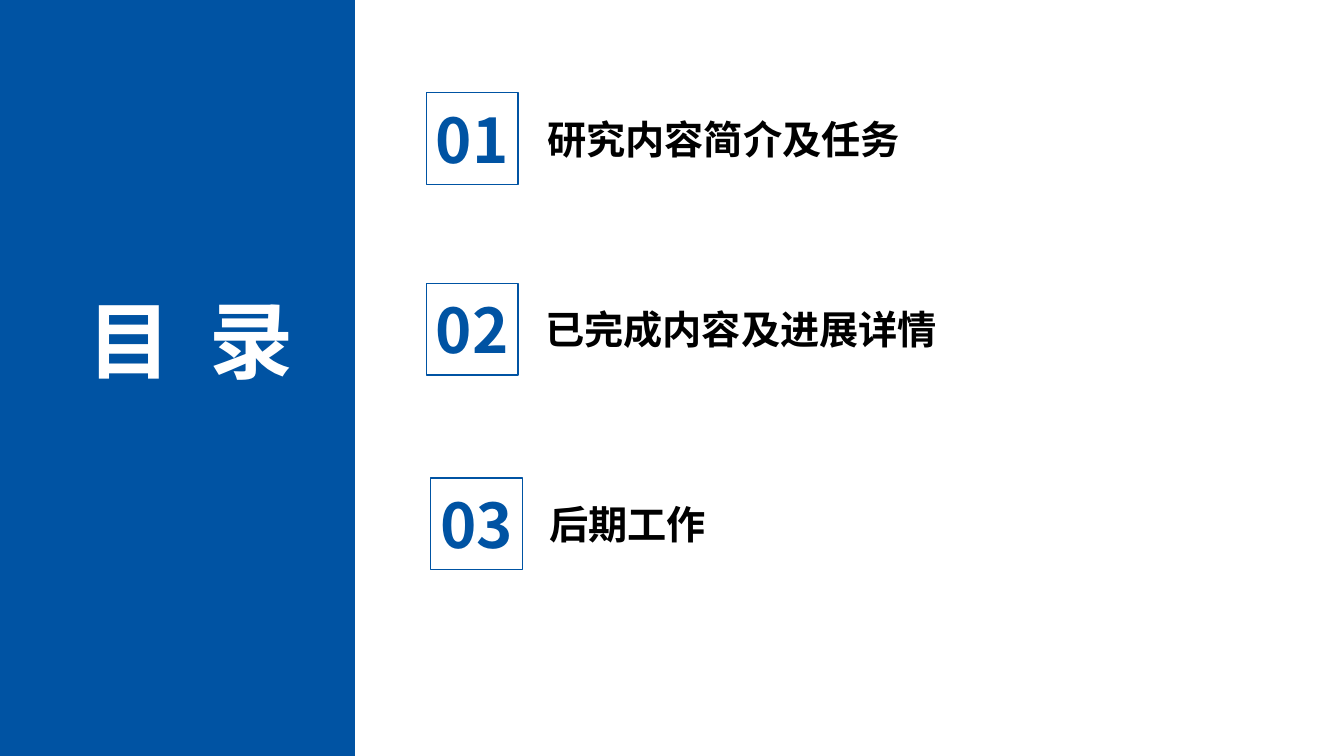
"""Build the contents slide: a blue title panel beside three numbered topics."""
import pptx
import pptx.dml.color
import pptx.enum.shapes
import pptx.enum.text
import pptx.oxml
import pptx.oxml.ns
import pptx.util

Inches = pptx.util.Inches
Align = pptx.enum.text.PP_ALIGN
RECTANGLE = pptx.enum.shapes.MSO_SHAPE.RECTANGLE

TITLE = "目 录"
TOPICS = [
    {"name": "研究内容简介及任务", "corner": (4.23, 0.92), "label_left": 5.33, "width": 4.46},
    {"name": "已完成内容及进展详情", "corner": (4.23, 2.81), "label_left": 5.31, "width": 4.19},
    {"name": "后期工作", "corner": (4.27, 4.74), "label_left": 5.35, "width": 4.19},
]
THEME = {
    "font": "Noto Sans CJK SC",
    "blue": pptx.dml.color.RGBColor.from_string("0053A3"),
    "white": pptx.dml.color.RGBColor.from_string("FFFFFF"),
    "black": pptx.dml.color.RGBColor.from_string("000000"),
    "title_size": 60,
    "number_size": 44,
    "label_size": 28,
}
SQUARE = 0.91
NUMBER_WIDTH, NUMBER_HEIGHT = 0.98, 0.84
LABEL_HEIGHT = 0.57


def write(box, text, size, color, align=Align.LEFT):
    frame = box.text_frame
    frame.text = text
    frame.word_wrap = True
    frame.auto_size = pptx.enum.text.MSO_AUTO_SIZE.NONE
    frame.vertical_anchor = pptx.enum.text.MSO_ANCHOR.MIDDLE
    paragraph = frame.paragraphs[0]
    paragraph.alignment = align
    span = paragraph.runs[0]
    span.font.name = THEME["font"]
    span.font.size = pptx.util.Pt(THEME[size])
    span.font.bold = True
    span.font.color.rgb = THEME[color]
    east_asian = pptx.oxml.parse_xml(
        f'<a:ea {pptx.oxml.ns.nsdecls("a")} typeface="{THEME["font"]}"/>')
    span.font._element.find(pptx.oxml.ns.qn("a:latin")).addnext(east_asian)
    return span


def add_rectangle(shapes, left, top, width, height):
    shape = shapes.add_shape(
        RECTANGLE, Inches(left), Inches(top), Inches(width), Inches(height))
    shape.shadow.inherit = False
    return shape


def add_text(shapes, left, top, width, height, *style):
    box = shapes.add_textbox(Inches(left), Inches(top), Inches(width), Inches(height))
    write(box, *style)


def add_topic(page, number, topic):
    shapes = page.shapes.add_group_shape().shapes
    left, top = topic["corner"]
    middle = top + SQUARE / 2
    add_text(shapes, topic["label_left"], middle - LABEL_HEIGHT / 2, topic["width"],
             LABEL_HEIGHT, topic["name"], "label_size", "black")
    add_text(shapes, left + (SQUARE - NUMBER_WIDTH) / 2, middle - NUMBER_HEIGHT / 2,
             NUMBER_WIDTH, NUMBER_HEIGHT, f"{number:02d}", "number_size", "blue", Align.CENTER)
    square = add_rectangle(shapes, left, top, SQUARE, SQUARE)
    square.fill.background()
    square.line.color.rgb = THEME["blue"]
    square.line.width = pptx.util.Pt(1)


deck = pptx.Presentation()
deck.slide_width, deck.slide_height = Inches(13.33), Inches(7.5)
page = deck.slides.add_slide(deck.slide_layouts[5])

panel = add_rectangle(page.shapes, 0, 0, 3.52, 7.5)
panel.fill.solid()
panel.fill.fore_color.rgb = THEME["blue"]
panel.line.fill.background()

title = page.shapes.title
title.left, title.top = Inches(0.77), Inches(2.81)
title.width, title.height = Inches(2.45), Inches(1.11)
title_span = write(title, TITLE, "title_size", "white")
title_span.font._element.set("spc", "670")
title._element.addprevious(panel._element)

for number, topic in enumerate(TOPICS, start=1):
    add_topic(page, number, topic)

deck.save("out.pptx")
